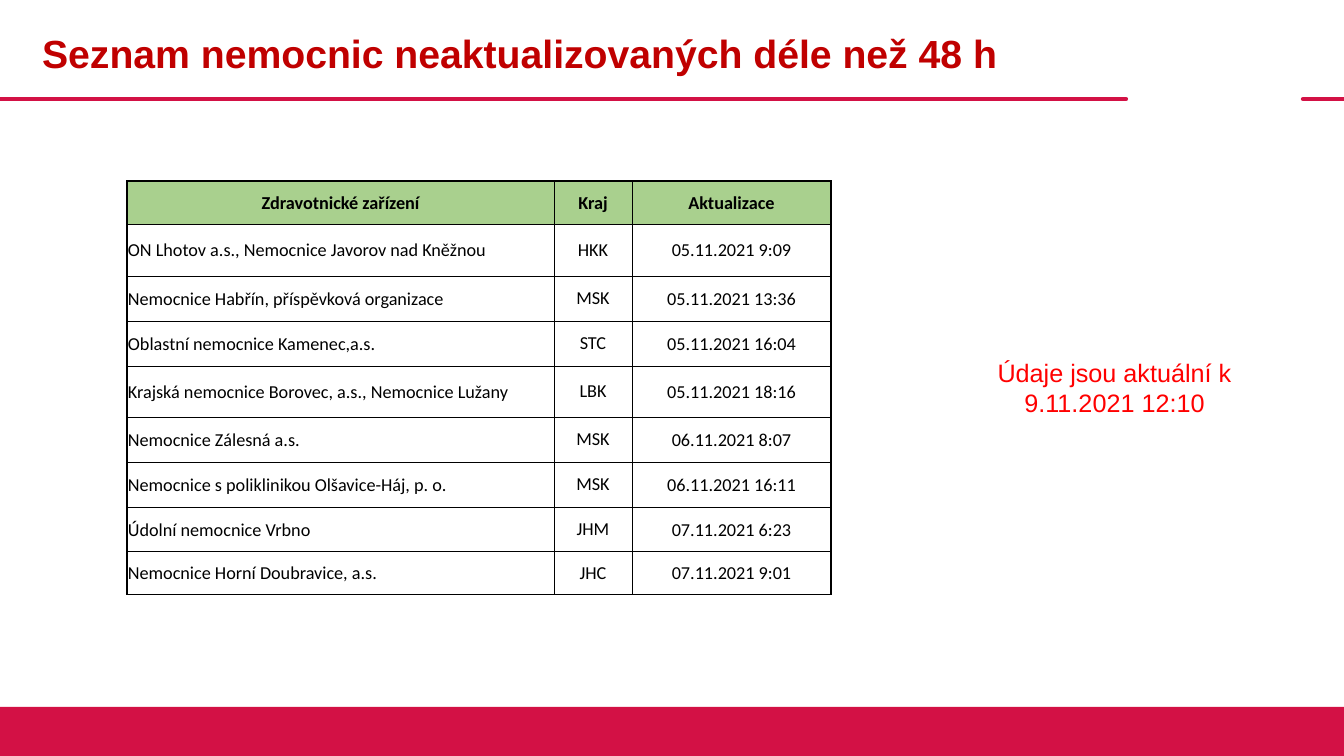
from dataclasses import dataclass

from lxml.etree import SubElement
from pptx import Presentation
from pptx.dml.color import RGBColor
from pptx.enum.shapes import MSO_CONNECTOR, MSO_SHAPE
from pptx.enum.text import MSO_ANCHOR, MSO_AUTO_SIZE, PP_ALIGN
from pptx.oxml.ns import qn
from pptx.util import Emu, Pt

WIDTH, HEIGHT = 1344, 756
SCALE = 12192000 / WIDTH


@dataclass(frozen=True)
class Theme:
    """Colours, fonts and type sizes of the slide."""
    brand: str = "D31145"
    title: str = "C00000"
    note: str = "FF0000"
    header: str = "A9D08E"
    ink: str = "000000"
    font: str = "Arial"
    table_font: str = "Calibri"
    title_size: int = 28
    note_size: int = 18
    table_size: int = 13


THEME = Theme()

HEADINGS = ("Zdravotnické zařízení", "Kraj", "Aktualizace")
HOSPITALS = [
    ("ON Lhotov a.s., Nemocnice Javorov nad Kněžnou", "HKK", "05.11.2021 9:09"),
    ("Nemocnice Habřín, příspěvková organizace", "MSK", "05.11.2021 13:36"),
    ("Oblastní nemocnice Kamenec,a.s.", "STC", "05.11.2021 16:04"),
    ("Krajská nemocnice Borovec, a.s., Nemocnice Lužany", "LBK", "05.11.2021 18:16"),
    ("Nemocnice Zálesná a.s.", "MSK", "06.11.2021 8:07"),
    ("Nemocnice s poliklinikou Olšavice-Háj, p. o.", "MSK", "06.11.2021 16:11"),
    ("Údolní nemocnice Vrbno", "JHM", "07.11.2021 6:23"),
    ("Nemocnice Horní Doubravice, a.s.", "JHC", "07.11.2021 9:01"),
]
COLUMNS = (427, 78, 199)
ROWS = (43, 52, 45, 45, 51, 45, 45, 45, 43)


def px(n):
    """Turn pixels into EMU."""
    return Emu(round(n * SCALE))


def rgb(color):
    """Turn a hex string into a colour."""
    return RGBColor.from_string(color)


def write(tf, text, *, size, color, font=THEME.font, bold=False,
          align=PP_ALIGN.LEFT, spacing=1.0):
    """Put one formatted paragraph into a text frame."""
    tf.word_wrap = True
    p = tf.paragraphs[0]
    p.alignment = align
    p.line_spacing = spacing
    r = p.add_run()
    r.text = text
    r.font.name, r.font.size, r.font.bold = font, Pt(size), bold
    r.font.color.rgb = rgb(color)


def add_title(slide, text, x, y, w, h):
    """Place the title placeholder in the given box."""
    sp = slide.shapes.title
    sp.left, sp.top, sp.width, sp.height = map(px, (x, y, w, h))
    tf = sp.text_frame
    tf.auto_size = MSO_AUTO_SIZE.NONE
    tf.vertical_anchor = MSO_ANCHOR.TOP
    tf.margin_top = px(9)
    write(tf, text, size=THEME.title_size, color=THEME.title, bold=True, spacing=0.9)


def add_rule(slide, x1, x2, y):
    """Draw a horizontal brand line with rounded ends."""
    sp = slide.shapes.add_connector(MSO_CONNECTOR.STRAIGHT, px(x1), px(y), px(x2), px(y))
    sp.line.color.rgb = rgb(THEME.brand)
    sp.line.width = Pt(3)
    props = sp._element.spPr
    props.find(qn("a:ln")).set("cap", "rnd")
    SubElement(props, qn("a:effectLst"))


def add_band(slide, x, y, w, h):
    """Draw the footer band."""
    sp = slide.shapes.add_shape(MSO_SHAPE.RECTANGLE, px(x), px(y), px(w), px(h))
    sp.shadow.inherit = False
    sp.fill.solid()
    sp.fill.fore_color.rgb = rgb(THEME.brand)
    sp.line.fill.background()


def add_note(slide, text, x, y, w, h):
    """Place the centred note in the given box."""
    sp = slide.shapes.add_textbox(px(x), px(y), px(w), px(h))
    sp.text_frame.auto_size = MSO_AUTO_SIZE.SHAPE_TO_FIT_TEXT
    write(sp.text_frame, text, size=THEME.note_size, color=THEME.note,
          align=PP_ALIGN.CENTER)


def set_borders(cell, widths):
    """Give a cell its left, right, top and bottom borders in points."""
    props = cell._tc.get_or_add_tcPr()
    for side, width in zip("LRTB", widths):
        ln = SubElement(props, qn(f"a:ln{side}"), w=str(Pt(width)))
        fill = SubElement(ln, qn("a:solidFill"))
        SubElement(fill, qn("a:srgbClr"), val=THEME.ink)


def add_hospitals(slide, x, y):
    """Build the hospital table with its top left corner at x, y."""
    sp = slide.shapes.add_table(len(ROWS), len(COLUMNS), px(x), px(y),
                                px(sum(COLUMNS)), px(sum(ROWS)))
    table = sp.table
    table.first_row = table.horz_banding = False
    for column, width in zip(table.columns, COLUMNS):
        column.width = px(width)
    last_row, last_col = len(ROWS) - 1, len(COLUMNS) - 1
    for i, values in enumerate([HEADINGS, *HOSPITALS]):
        table.rows[i].height = px(ROWS[i])
        for j, value in enumerate(values):
            cell = table.cell(i, j)
            is_header = i == 0
            is_region = j == 1 and not is_header
            outer = (j == 0, j == last_col, i == 0, i == last_row)
            set_borders(cell, [1 if edge else 0.5 for edge in outer])
            if is_header:
                cell.fill.solid()
                cell.fill.fore_color.rgb = rgb(THEME.header)
            else:
                cell.fill.background()
            cell.vertical_anchor = MSO_ANCHOR.MIDDLE
            cell.margin_left = cell.margin_right = px(1)
            cell.margin_top = px(8 if is_region else 1)
            cell.margin_bottom = px(8 if is_region else 0)
            centred = is_header or j > 0
            write(cell.text_frame, value, size=THEME.table_size, color=THEME.ink,
                  font=THEME.table_font, bold=is_header,
                  align=PP_ALIGN.CENTER if centred else PP_ALIGN.LEFT)


def main():
    """Build the slide and save it."""
    prs = Presentation()
    prs.slide_width, prs.slide_height = px(WIDTH), px(HEIGHT)
    slide = prs.slides.add_slide(prs.slide_layouts[5])
    add_rule(slide, 0, 1126, 99)
    add_rule(slide, 1303, WIDTH, 99)
    add_band(slide, 0, 707, WIDTH, HEIGHT - 707)
    add_title(slide, "Seznam nemocnic neaktualizovaných déle než 48 h", 32, 26, 1090, 99)
    add_note(slide, "Údaje jsou aktuální k 9.11.2021 12:10", 986, 352, 257, 72)
    add_hospitals(slide, 127, 181)
    prs.save("out.pptx")


if __name__ == "__main__":
    main()
